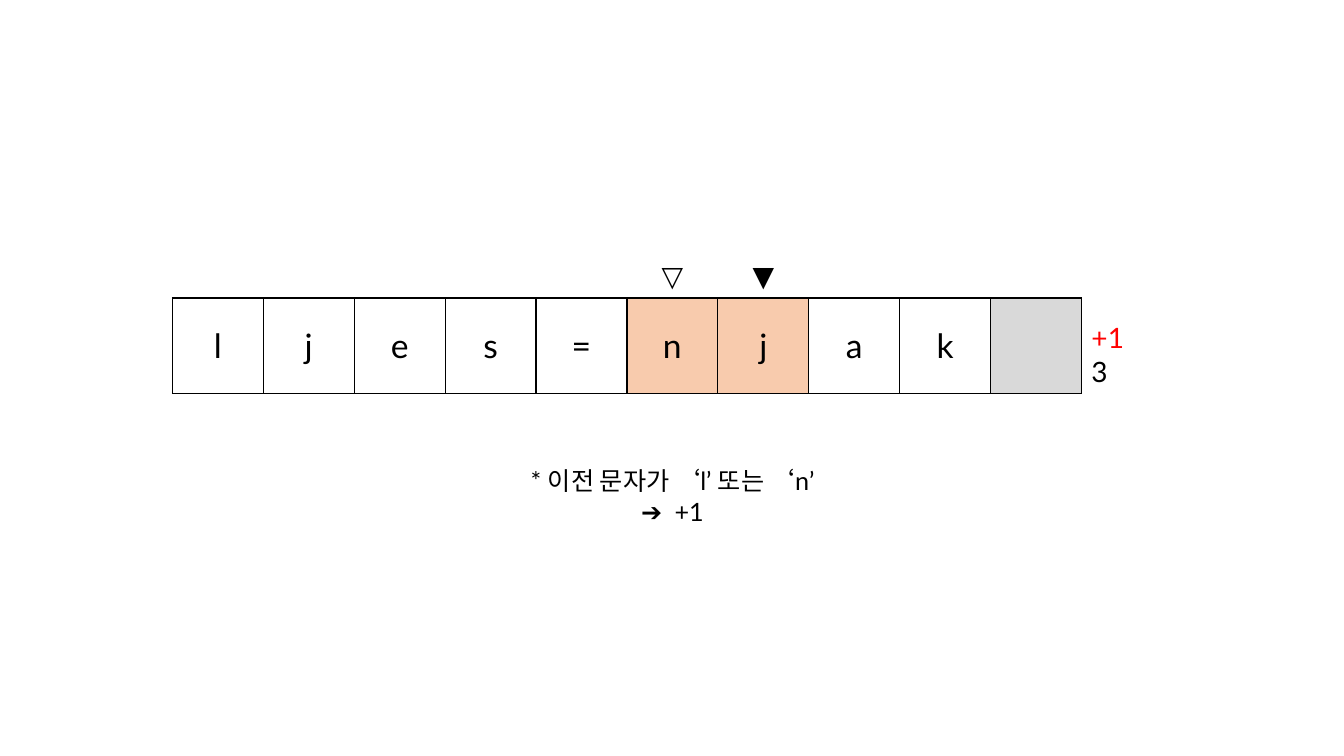
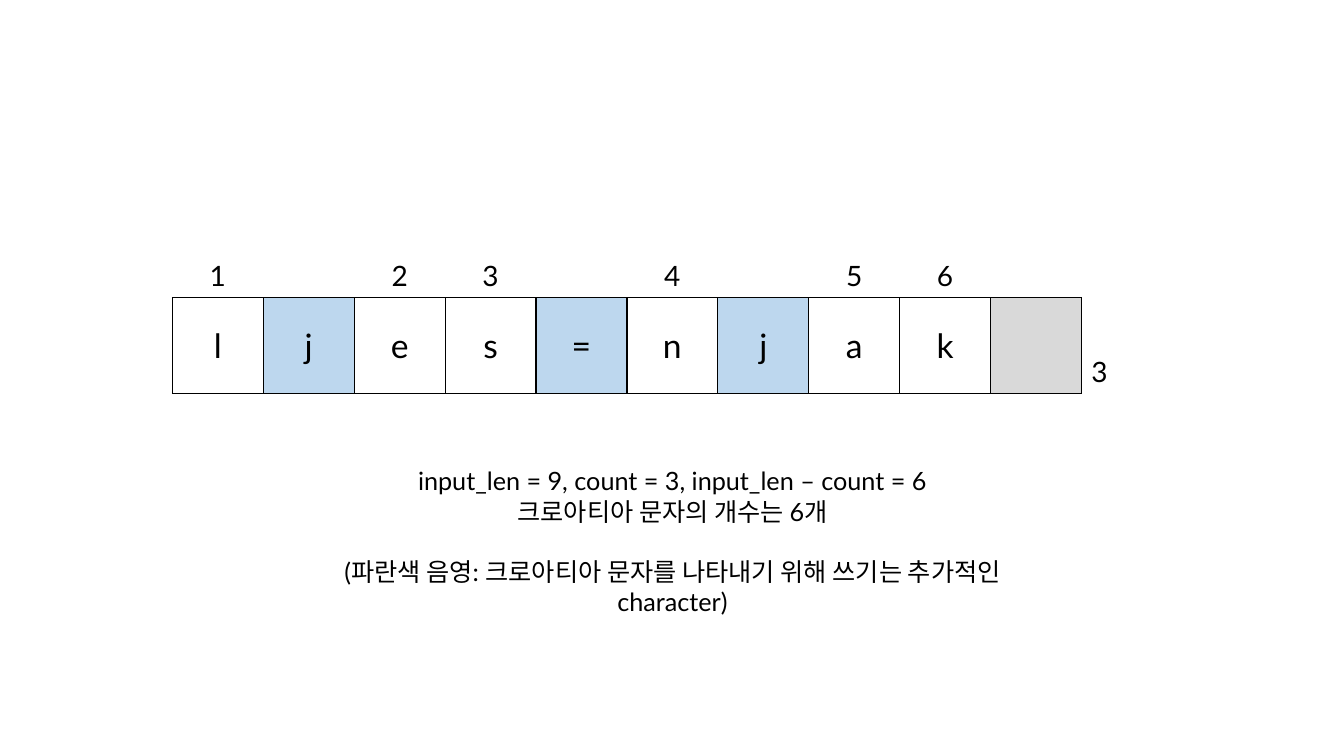
from dataclasses import dataclass

from lxml import etree
from pptx import Presentation
from pptx.dml.color import RGBColor
from pptx.enum.text import MSO_ANCHOR, PP_ALIGN
from pptx.oxml.ns import qn
from pptx.util import Pt

LEFT, CENTER = PP_ALIGN.LEFT, PP_ALIGN.CENTER
MIDDLE, BOTTOM = MSO_ANCHOR.MIDDLE, MSO_ANCHOR.BOTTOM
EMU_PER_PX = 9144  # 100 px to the inch
BLANK_LAYOUT = 6


@dataclass(frozen=True)
class Theme:
    font: str = "Lato"
    ink: str = "000000"
    accent: str = "FF0000"
    orange: str = "F8CBAD"
    blue: str = "BDD7EE"
    gray: str = "D9D9D9"
    letter_size: int = 24
    label_size: int = 20
    note_size: int = 18
    note_gap: float = 21.6
    border_width: int = 1


THEME = Theme()
LETTERS = "ljes=njak"
SLIDE_SIZE = (1333, 750)
TABLE_BOX = (171, 252, 992, 138)
MARKER_HEIGHT = 43


def px(length):
    return length * EMU_PER_PX


def write_lines(text_frame, lines, size, alignment, colors=None):
    """Write one paragraph per line; colors maps a line number to its colour."""
    text_frame.text = "\n".join(lines)
    for number, paragraph in enumerate(text_frame.paragraphs):
        paragraph.alignment = alignment
        font = paragraph.font
        font.name = THEME.font
        font.size = Pt(size)
        font.color.rgb = RGBColor.from_string((colors or {}).get(number, THEME.ink))


def add_borders(cell, sides):
    properties = cell._tc.get_or_add_tcPr()
    for side in sides:
        line = etree.SubElement(properties, qn(f"a:ln{side}"), w=str(Pt(THEME.border_width)))
        fill = etree.SubElement(line, qn("a:solidFill"))
        etree.SubElement(fill, qn("a:srgbClr"), val=THEME.ink)


def style_cell(cell, sides, color=None):
    add_borders(cell, sides)
    if color:
        cell.fill.solid()
        cell.fill.fore_color.rgb = RGBColor.from_string(color)
    else:
        cell.fill.background()


def fill_cell(cell, lines, size, alignment, anchor, colors=None):
    cell.vertical_anchor = anchor
    write_lines(cell.text_frame, lines, size, alignment, colors)


def add_letter_table(slide, box, markers, shaded, shade, score, score_colors=None):
    """Draw the word in cells, markers above it, an end cell and the score."""
    left, top, width, height = map(px, box)
    end = len(LETTERS)
    column_count = end + 2
    table = slide.shapes.add_table(2, column_count, left, top, width, height).table
    table.first_row = table.horz_banding = False
    for column in table.columns:
        column.width = width // column_count
    table.rows[0].height = px(MARKER_HEIGHT)
    table.rows[1].height = height - px(MARKER_HEIGHT)

    fills = {**dict.fromkeys(shaded, shade), end: THEME.gray}
    for index in range(end + 1):
        style_cell(table.cell(0, index), "B")
        style_cell(table.cell(1, index), "LRTB", fills.get(index))
    style_cell(table.cell(0, end + 1), "")
    score_cell = table.cell(1, end + 1)
    style_cell(score_cell, "L")

    for index, letter in enumerate(LETTERS):
        fill_cell(table.cell(1, index), [letter], THEME.letter_size, CENTER, MIDDLE)
    for index, marker in markers.items():
        fill_cell(table.cell(0, index), [marker], THEME.label_size, CENTER, BOTTOM)
    fill_cell(score_cell, score, THEME.label_size, LEFT, BOTTOM, score_colors)


def add_note(slide, box, lines, spaced_line=None):
    """Place centred lines, with a gap before the line numbered spaced_line."""
    text_frame = slide.shapes.add_textbox(*map(px, box)).text_frame
    text_frame.word_wrap = True
    write_lines(text_frame, lines, THEME.note_size, CENTER)
    if spaced_line is not None:
        text_frame.paragraphs[spaced_line].space_before = Pt(THEME.note_gap)


def add_step_slide(presentation):
    slide = presentation.slides.add_slide(presentation.slide_layouts[BLANK_LAYOUT])
    add_letter_table(slide, TABLE_BOX, {5: "▽", 6: "▼"}, (5, 6), THEME.orange,
                     ["+1", "3"], {0: THEME.accent})
    add_note(slide, (508, 457, 318, 70), ["* 이전 문자가 ‘l’ 또는 ‘n’ ➔ +1"])


def add_result_slide(presentation):
    slide = presentation.slides.add_slide(presentation.slide_layouts[BLANK_LAYOUT])
    extra_letters = (1, 4, 6)
    counted = [index for index in range(len(LETTERS)) if index not in extra_letters]
    markers = {index: str(number) for number, index in enumerate(counted, 1)}
    add_letter_table(slide, TABLE_BOX, markers, extra_letters, THEME.blue, ["3"])
    add_note(slide, (284, 457, 766, 160), [
        "input_len = 9, count = 3, input_len – count = 6",
        "크로아티아 문자의 개수는 6개",
        "(파란색 음영: 크로아티아 문자를 나타내기 위해 쓰기는 추가적인 character)",
    ], spaced_line=2)


def main():
    presentation = Presentation()
    presentation.slide_width, presentation.slide_height = map(px, SLIDE_SIZE)
    add_step_slide(presentation)
    add_result_slide(presentation)
    presentation.save("out.pptx")


if __name__ == "__main__":
    main()
